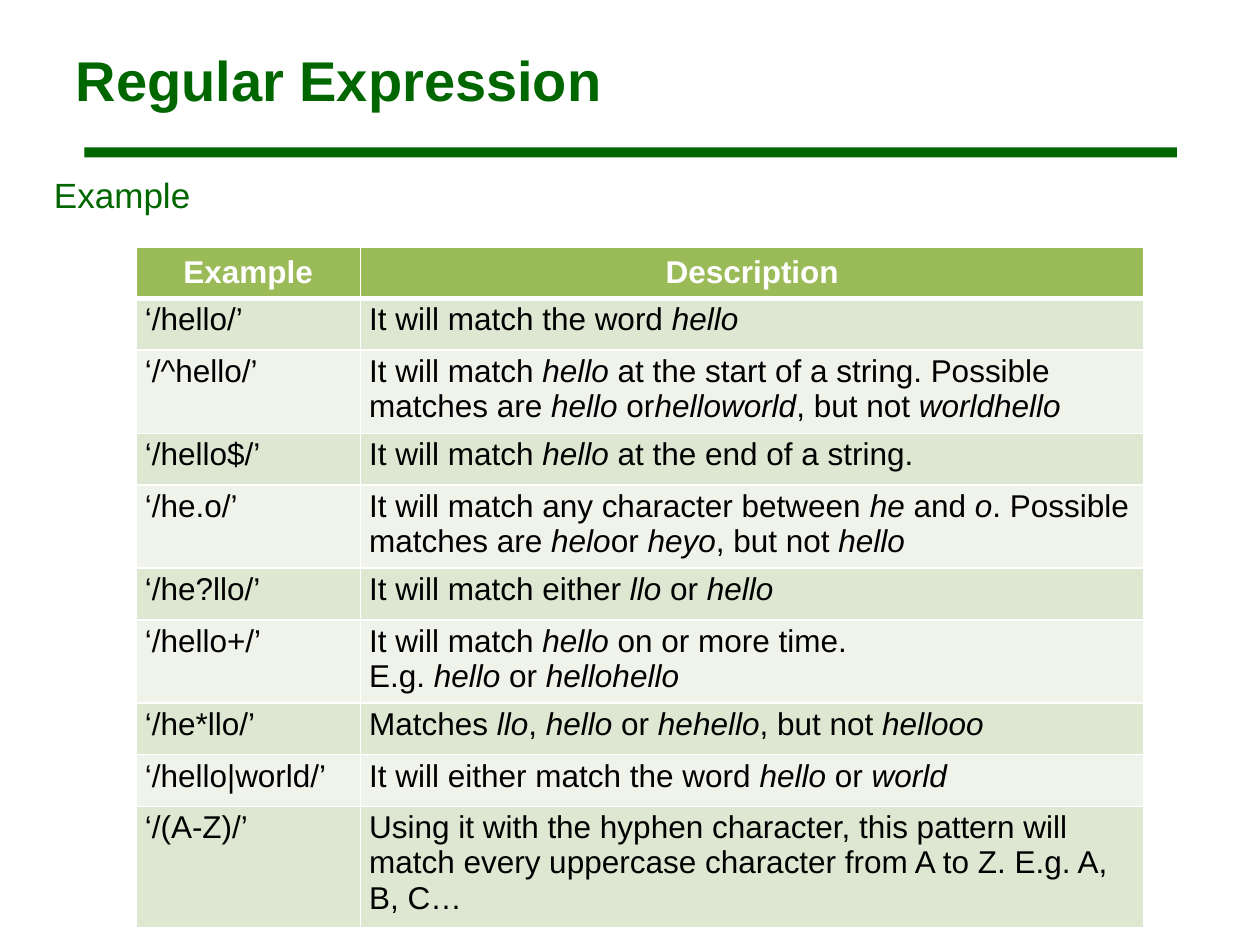
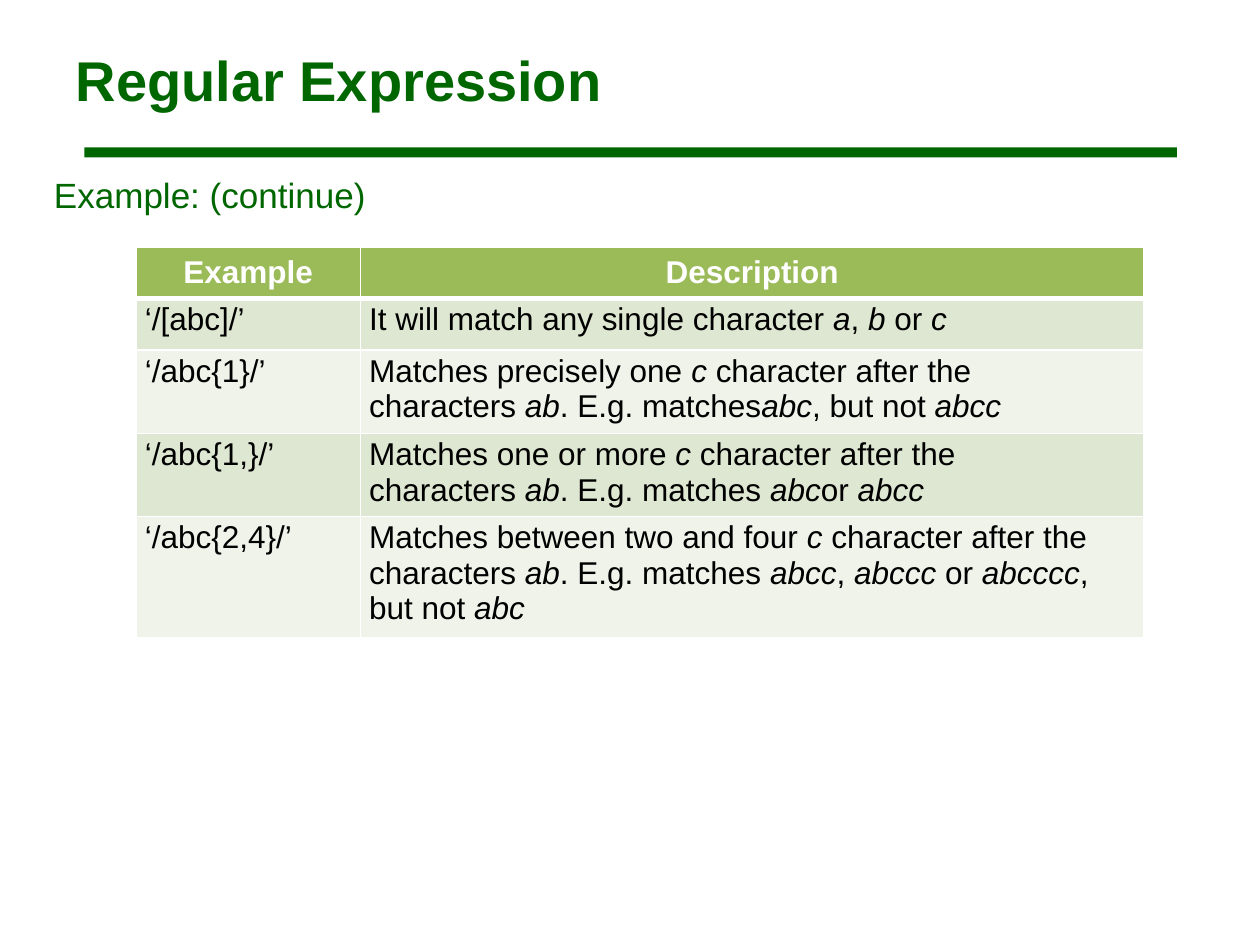
from pptx import Presentation
from pptx.dml.color import RGBColor
from pptx.enum.shapes import MSO_SHAPE
from pptx.enum.text import MSO_ANCHOR, PP_ALIGN
from pptx.oxml.ns import qn
from pptx.util import Inches, Pt
from lxml.etree import SubElement

FONT = "Arial"
COLORS = {
    "green": "006600",
    "header": "9BBB59",
    "odd_row": "DEE7D1",
    "even_row": "EFF3EA",
    "white": "FFFFFF",
    "black": "000000",
}
TITLE = "Regular Expression"
HEADERS = ("Example", "Description")
COLUMN_WIDTHS = (1.78, 6.22)
ROW_HEIGHT = 0.41
NO_BREAK_SPACE = chr(160)

# Underscores enclose the italic words of a description
BASIC_PATTERNS = [
    ("‘/hello/’", "It will match the word _hello_"),
    ("‘/^hello/’", "It will match _hello_ at the start of a string. Possible matches are "
                   "_hello_ or_helloworld_, but not _worldhello_"),
    ("‘/hello$/’", "It will match _hello_ at the end of a string."),
    ("‘/he.o/’", "It will match any character between _he_ and _o_. Possible matches are "
                 "_helo_or _heyo_, but not _hello_"),
    ("‘/he?llo/’", "It will match either _llo_ or _hello_"),
    ("‘/hello+/’", "It will match _hello_ on or more time. E.g. _hello_ or _hellohello_"),
    ("‘/he*llo/’", "Matches _llo_, _hello_ or _hehello_, but not _hellooo_"),
    ("‘/hello|world/’", "It will either match the word _hello_ or _world_"),
    ("‘/(A-Z)/’", "Using it with the hyphen character, this pattern will match every "
                  "uppercase character from A to Z. E.g. A, B, C…"),
]
COUNT_PATTERNS = [
    ("‘/[abc]/’", "It will match any single character _a_, _b_ or _c_"),
    ("‘/abc{1}/’", "Matches precisely one _c_ character after the characters _ab_. "
                   "E.g. matches_abc_, but not _abcc_"),
    ("‘/abc{1,}/’", "Matches one or more _c_ character after the characters _ab_. "
                    "E.g. matches _abc_or _abcc_"),
    ("‘/abc{2,4}/’", "Matches between two and four _c_ character after the characters _ab_. "
                     "E.g. matches _abcc_, _abccc_ or _abcccc_, but not _abc_"),
]


def color(name):
    return RGBColor.from_string(COLORS[name])


def format_run(run, size, color_name, bold=False, italic=False):
    font = run.font
    font.name = FONT
    font.size = Pt(size)
    font.bold = bold
    font.italic = italic
    font.color.rgb = color(color_name)


def place(shape, left, top, width, height):
    shape.left, shape.top = Inches(left), Inches(top)
    shape.width, shape.height = Inches(width), Inches(height)


def add_title(slide, text):
    title = slide.shapes.title
    place(title, 0.5, 0.17, 9, 0.92)
    title.text_frame.text = text
    title.text_frame.vertical_anchor = MSO_ANCHOR.MIDDLE
    paragraph = title.text_frame.paragraphs[0]
    paragraph.alignment = PP_ALIGN.LEFT
    format_run(paragraph.runs[0], 32, "green", bold=True)


def add_title_band(slide):
    band = slide.shapes.add_shape(MSO_SHAPE.RECTANGLE, Inches(0.67), Inches(1.17),
                                  Inches(8.67), Inches(0.08))
    band.shadow.inherit = False
    band.fill.solid()
    band.fill.fore_color.rgb = color("green")
    band.line.fill.background()


def add_subtitle(slide, text):
    box = slide.shapes.add_textbox(Inches(0.33), Inches(1.33), Inches(5.67), Inches(0.5))
    box.text_frame.word_wrap = True
    box.text_frame.text = text
    paragraph = box.text_frame.paragraphs[0]
    paragraph.space_before = Pt(4)
    format_run(paragraph.runs[0], 20, "green")


def add_borders(cell, top=1, bottom=1):
    """Draw white borders; call before the fill, which must follow them in the XML."""
    properties = cell._tc.get_or_add_tcPr()
    for side, width in (("lnL", 1), ("lnR", 1), ("lnT", top), ("lnB", bottom)):
        line = SubElement(properties, qn(f"a:{side}"), w=str(Pt(width)))
        fill = SubElement(line, qn("a:solidFill"))
        SubElement(fill, qn("a:srgbClr"), val=COLORS["white"])


def format_cell(cell, fill_name, top=1, bottom=1):
    add_borders(cell, top, bottom)
    cell.fill.solid()
    cell.fill.fore_color.rgb = color(fill_name)
    cell.margin_left = cell.margin_right = Inches(0.07)
    cell.margin_top = cell.margin_bottom = Inches(0.03)


def fill_header_cell(cell, text):
    format_cell(cell, "header", bottom=3)
    cell.vertical_anchor = MSO_ANCHOR.MIDDLE
    cell.text_frame.text = text
    paragraph = cell.text_frame.paragraphs[0]
    paragraph.alignment = PP_ALIGN.CENTER
    format_run(paragraph.runs[0], 18, "white", bold=True)


def join_to_italics(text):
    """Make the spaces at both ends of a piece non-breaking."""
    if text.startswith(" "):
        text = NO_BREAK_SPACE + text[1:]
    if text.endswith(" "):
        text = text[:-1] + NO_BREAK_SPACE
    return text


def fill_body_cell(cell, text, row_number):
    format_cell(cell, "odd_row" if row_number % 2 else "even_row",
                top=3 if row_number == 1 else 1)
    paragraph = cell.text_frame.paragraphs[0]
    for index, piece in enumerate(text.split("_")):
        if piece:
            run = paragraph.add_run()
            run.text = join_to_italics(piece)
            format_run(run, 18, "black", italic=index % 2 == 1)


def add_pattern_table(slide, patterns):
    row_count = len(patterns) + 1
    table = slide.shapes.add_table(row_count, len(HEADERS), Inches(1.08), Inches(1.96),
                                   Inches(sum(COLUMN_WIDTHS)),
                                   Inches(ROW_HEIGHT * row_count)).table
    for column, width in zip(table.columns, COLUMN_WIDTHS):
        column.width = Inches(width)
    for row in table.rows:
        row.height = Inches(ROW_HEIGHT)
    for column_number, header in enumerate(HEADERS):
        fill_header_cell(table.cell(0, column_number), header)
    for row_number, texts in enumerate(patterns, start=1):
        for column_number, text in enumerate(texts):
            fill_body_cell(table.cell(row_number, column_number), text, row_number)


def add_pattern_slide(presentation, subtitle, patterns):
    slide = presentation.slides.add_slide(presentation.slide_layouts[5])
    add_title_band(slide)
    add_title(slide, TITLE)
    add_subtitle(slide, subtitle)
    add_pattern_table(slide, patterns)


def main():
    presentation = Presentation()
    presentation.slide_width = Inches(10)
    presentation.slide_height = Inches(7.5)
    add_pattern_slide(presentation, "Example", BASIC_PATTERNS)
    add_pattern_slide(presentation, "Example: (continue)", COUNT_PATTERNS)
    presentation.save("out.pptx")


if __name__ == "__main__":
    main()
